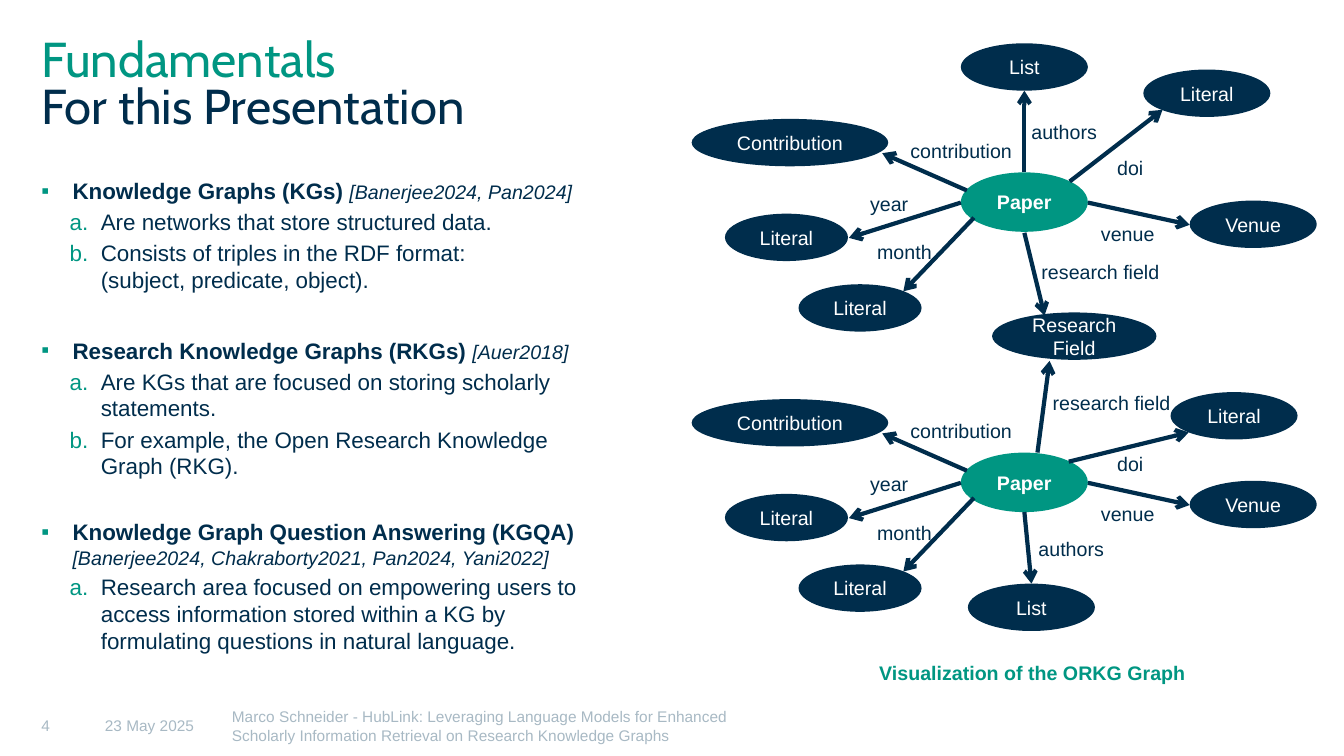
from lxml import etree
from pptx import Presentation
from pptx.dml.color import RGBColor
from pptx.enum.shapes import MSO_CONNECTOR, MSO_SHAPE
from pptx.enum.text import MSO_ANCHOR, PP_ALIGN
from pptx.oxml.ns import qn
from pptx.util import Inches, Pt

ELLIPSE = MSO_SHAPE.OVAL
STRAIGHT = MSO_CONNECTOR.STRAIGHT
CENTER, LEFT = PP_ALIGN.CENTER, PP_ALIGN.LEFT
MIDDLE, TOP = MSO_ANCHOR.MIDDLE, MSO_ANCHOR.TOP

COLORS = {"green": "009682", "navy": "002D4C", "grey": "A8B9C4", "white": "FFFFFF"}

# Each spoke: node text, node (left, top, width), arrow start, arrow end,
# label text, label (left, top). Tops are measured from the top of the paper node.
SHARED_SPOKES = [
    ("Contribution", (6.86, -0.53, 1.95), (9.59, 0.18), (8.75, -0.19), "contribution", (9.03, -0.36)),
    ("Literal", (7.19, 0.41, 1.22), (9.53, 0.3), (8.42, 0.65), "year", (8.63, 0.17)),
    ("Literal", (7.92, 1.11, 1.22), (9.66, 0.45), (8.96, 1.18), "month", (8.7, 0.65)),
    ("Venue", (11.8, 0.28, 1.26), (10.79, 0.3), (11.8, 0.52), "venue", (10.92, 0.47)),
]
UPPER_SPOKES = [
    ("Literal", (11.34, -1.02, 1.26), (10.61, 0.09), (11.53, -0.62), "doi", (11.08, -0.19)),
    ("List", (9.53, -1.28, 1.26), (10.16, 0), (10.16, -0.81), "authors", (10.23, -0.54)),
    ("Research\nField", (9.84, 1.39, 1.63), (10.16, 0.6), (10.36, 1.42), "research field", (10.33, 0.85)),
]
LOWER_SPOKES = [
    ("Literal", (11.61, -0.6, 1.26), (10.6, 0.09), (11.79, -0.2), "doi", (11.08, -0.03)),
    ("List", (9.6, 1.3, 1.26), (10.16, 0.59), (10.23, 1.3), "authors", (10.3, 0.81)),
    (None, None, (10.29, 0), (10.41, -0.91), "research field", (10.44, -0.64)),
]

# Each topic: heading, citation, space before in points, items.
TOPICS = [
    ("Knowledge Graphs (KGs) ", "[Banerjee2024, Pan2024]", 0, [
        "Are networks that store structured data.",
        "Consists of triples in the RDF format:\n(subject, predicate, object).",
    ]),
    ("Research Knowledge Graphs (RKGs) ", "[Auer2018]", 28, [
        "Are KGs that are focused on storing scholarly statements.",
        "For example, the Open Research Knowledge Graph (RKG).",
    ]),
    ("Knowledge Graph Question Answering (KGQA) ",
     "[Banerjee2024, Chakraborty2021, Pan2024, Yani2022]", 25, [
         "Research area focused on empowering users to access information stored "
         "within a KG by formulating questions in natural language.",
     ]),
]


def rgb(name):
    return RGBColor.from_string(COLORS[name])


def write(para, text, size=14, color="navy", font="Arial", bold=False, italic=False,
          align=LEFT, line=1.0, before=0, after=0):
    """Append formatted text to a paragraph; a newline becomes a line break."""
    para.alignment = align
    para.line_spacing = line
    para.space_before, para.space_after = Pt(before), Pt(after)
    for index, part in enumerate(text.split("\n")):
        if index:
            para.add_line_break()
        span = para.add_run()
        span.text = part
        span.font.name, span.font.size = font, Pt(size)
        span.font.bold, span.font.italic = bold, italic
        span.font.color.rgb = rgb(color)


def set_frame(shape, margin=0.0, anchor=TOP, wrap=True):
    frame = shape.text_frame
    frame.word_wrap = wrap
    frame.vertical_anchor = anchor
    frame.margin_left = frame.margin_right = Inches(margin)
    frame.margin_top = frame.margin_bottom = Inches(margin)
    return frame


def add_text_frame(page, left, top, width, height, anchor=TOP):
    box = page.shapes.add_textbox(Inches(left), Inches(top), Inches(width), Inches(height))
    return set_frame(box, anchor=anchor)


def add_label(page, text, left, top, width=1.43, **style):
    frame = add_text_frame(page, left, top, width, 0.31)
    write(frame.paragraphs[0], text, line=1.1, **style)


def add_node(page, text, left, top, width, height=0.47, fill="navy", bold=False):
    node = page.shapes.add_shape(ELLIPSE, Inches(left), Inches(top), Inches(width), Inches(height))
    node.shadow.inherit = False
    node.fill.solid()
    node.fill.fore_color.rgb = rgb(fill)
    node.line.fill.background()
    frame = set_frame(node, margin=0.16, anchor=MIDDLE, wrap=False)
    write(frame.paragraphs[0], text, color="white", bold=bold, align=CENTER)


def add_arrow(page, start, end):
    arrow = page.shapes.add_connector(STRAIGHT, *[Inches(value) for value in (*start, *end)])
    arrow.line.color.rgb = rgb("navy")
    arrow.line.width = Pt(3)
    outline = arrow._element.spPr.find(qn("a:ln"))
    etree.SubElement(outline, qn("a:tailEnd"), type="arrow")
    etree.SubElement(arrow._element.spPr, qn("a:effectLst"))


def add_paper_graph(page, paper_top, spokes):
    """Draw a paper node with its labelled arrows and neighbours."""
    add_node(page, "Paper", 9.53, paper_top, 1.26, 0.59, fill="green", bold=True)
    for name, place, start, end, label, (label_left, label_top) in spokes:
        if name:
            left, top, width = place
            add_node(page, name, left, paper_top + top, width)
        add_arrow(page, *[(x, paper_top + y) for x, y in (start, end)])
        add_label(page, label, label_left, paper_top + label_top)


def add_bullet(para, margin, tag, **attributes):
    """Give a paragraph a green bullet with a hanging indent."""
    properties = para._p.get_or_add_pPr()
    properties.set("marL", str(Inches(margin)))
    properties.set("indent", str(Inches(-0.31)))
    color = etree.SubElement(properties, qn("a:buClr"))
    etree.SubElement(color, qn("a:srgbClr"), val=COLORS["green"])
    etree.SubElement(properties, qn("a:buFont"), typeface="Arial")
    etree.SubElement(properties, qn(tag), **attributes)


def add_topics(page):
    frame = add_text_frame(page, 0.41, 1.76, 5.65, 5.1)
    for index, (heading, citation, before, items) in enumerate(TOPICS):
        para = frame.add_paragraph() if index else frame.paragraphs[0]
        add_bullet(para, 0.31, "a:buChar", char="▪")
        write(para, heading, size=16, bold=True, before=before, after=3)
        write(para, citation, italic=True, before=before, after=3)
        for item in items:
            para = frame.add_paragraph()
            para.level = 4
            add_bullet(para, 0.59, "a:buAutoNum", type="alphaLcPeriod")
            write(para, item, size=16, after=3)


def add_title(page):
    para = add_text_frame(page, 0.41, 0.4, 12.52, 1.1).paragraphs[0]
    write(para, "Fundamentals", size=35, color="green", font="Cabin", line=0.8)
    para.add_line_break()
    write(para, "For this Presentation", size=35, font="Cabin", line=0.8)


def add_footer(page):
    talk = ("Marco Schneider - HubLink: Leveraging Language Models for Enhanced "
            "Scholarly Information Retrieval on Research Knowledge Graphs")
    for text, left, width in (("4", 0.41, 0.63), ("23 May 2025", 1.04, 1.26), (talk, 2.3, 5)):
        frame = add_text_frame(page, left, 6.86, width, 0.64, anchor=MIDDLE)
        frame.margin_top = Inches(0.04)
        write(frame.paragraphs[0], text, size=11, color="grey")


def main():
    deck = Presentation()
    deck.slide_width, deck.slide_height = Inches(13.33), Inches(7.5)
    page = deck.slides.add_slide(deck.slide_layouts[6])
    add_title(page)
    add_topics(page)
    add_footer(page)
    add_paper_graph(page, 1.71, SHARED_SPOKES + UPPER_SPOKES)
    add_paper_graph(page, 4.49, SHARED_SPOKES + LOWER_SPOKES)
    add_label(page, "Visualization of the ORKG Graph", 8.72, 6.53, 3.27, color="green", bold=True)
    deck.save("out.pptx")


if __name__ == "__main__":
    main()
